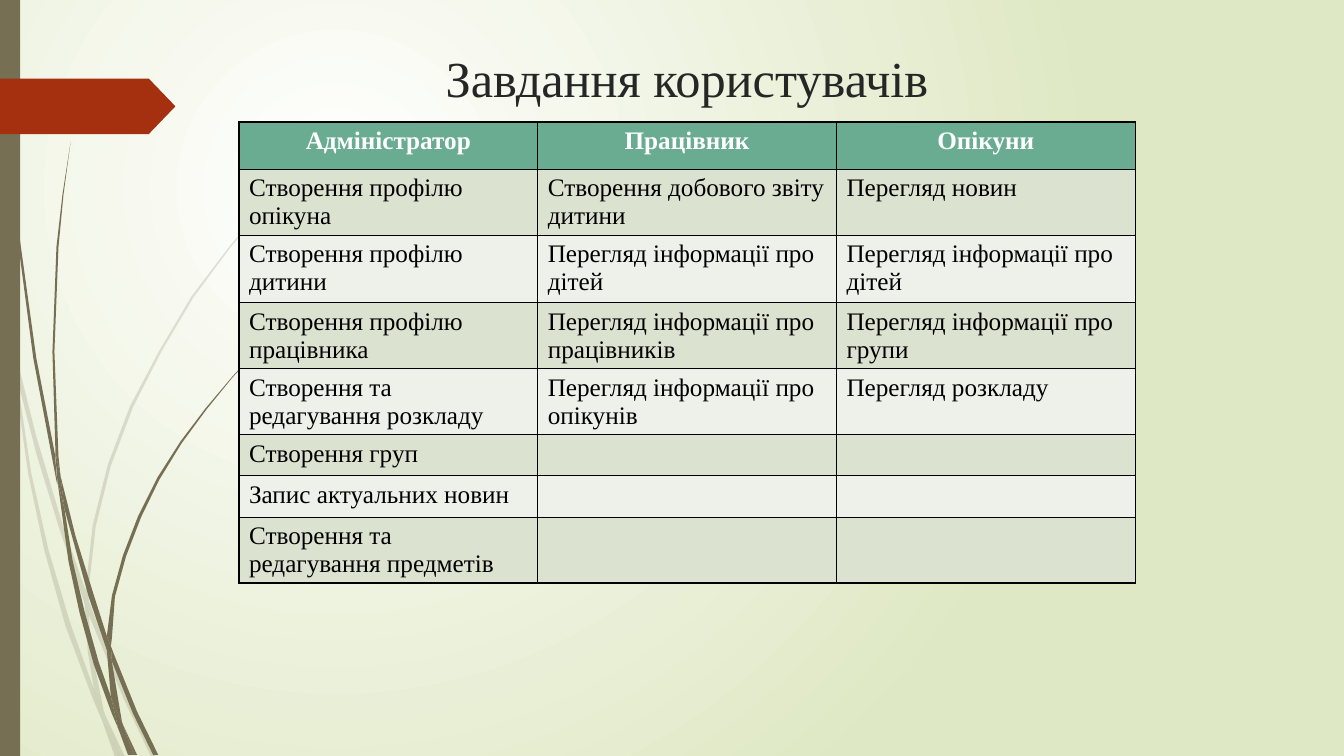
from lxml.etree import SubElement
from pptx import Presentation
from pptx.dml.color import RGBColor
from pptx.enum.shapes import MSO_SHAPE
from pptx.enum.text import MSO_ANCHOR, PP_ALIGN
from pptx.oxml import parse_xml
from pptx.oxml.ns import nsdecls, qn
from pptx.util import Inches, Pt

FONT = "Times New Roman"
WHITE = RGBColor(0xFF, 0xFF, 0xFF)
BLACK = RGBColor(0x00, 0x00, 0x00)
CHARCOAL = RGBColor(0x26, 0x26, 0x26)
PALE_GREEN = RGBColor(0xDF, 0xE8, 0xC4)
OLIVE = RGBColor(0x76, 0x6F, 0x54)
RED = RGBColor(0xA5, 0x30, 0x10)
HEADER_GREEN = RGBColor(0x6A, 0xAC, 0x91)
BANDS = [RGBColor(0xEE, 0xF1, 0xE9), RGBColor(0xDC, 0xE2, 0xD0)]

PALE_BLADES = [
    [(0.11, 3.5), (0.09, 3.22), (0, 2.82), (0, 2.99), (0.1, 3.44)],
    [(0.58, 5.22), (0.84, 5.99), (0.85, 5.86), (0.62, 5.2), (0.36, 4.33),
     (0.14, 3.45), (0.17, 3.76), (0.36, 4.5)],
    [(0.92, 6.07), (0.88, 5.96), (0.88, 6.1), (1.23, 6.94), (1.5, 7.51),
     (1.55, 7.51), (1.27, 6.92)],
    [(1.19, 7.51), (1.24, 7.51), (1.05, 7.11)],
    [(0.93, 6.83), (0.7, 6.19), (0.48, 5.45), (0.31, 4.69), (0.17, 3.76), (0.11, 3.5),
     (0.28, 4.7), (0.44, 5.46), (0.65, 6.21), (0.92, 6.93), (1.01, 7.14), (0.99, 7.07)],
    [(0.84, 5.99), (0.87, 6.46), (0.93, 6.83), (0.96, 6.92), (1.05, 7.11),
     (1.03, 7.06), (0.91, 6.46), (0.88, 6.1), (0.88, 6.08)],
    [(0.88, 5.84), (0.95, 5.22), (1.1, 4.62), (1.32, 4.04), (1.6, 3.49), (1.92, 2.95),
     (2.29, 2.45), (2.68, 1.98), (2.9, 1.75), (3.12, 1.54), (3.12, 1.53), (2.89, 1.75),
     (2.68, 1.97), (2.28, 2.44), (1.9, 2.94), (1.58, 3.48), (1.29, 4.03), (1.07, 4.61),
     (0.92, 5.21), (0.85, 5.84), (0.85, 5.86), (0.88, 5.96)],
    [(1.01, 7.14), (1.14, 7.51), (1.19, 7.51)],
    [(0.88, 6.08), (0.88, 6.1), (0.88, 5.96), (0.85, 5.86), (0.84, 5.99)],
    [(0.96, 6.92), (0.93, 6.83), (0.99, 7.07), (1.01, 7.14), (1.19, 7.51), (1.05, 7.11)],
]
DARK_BLADES = [
    [(0.07, 1.1), (0.17, 2.33), (0.33, 3.55), (0.56, 4.77), (0.57, 4.81), (0.55, 4.57),
     (0.55, 4.53), (0.36, 3.55), (0.19, 2.32), (0.08, 1.09), (0.05, 0.48), (0.04, 0),
     (0.03, 0), (0.04, 0.48)],
    [(0.88, 5.92), (1.06, 6.45), (1.06, 6.33), (1.06, 6.31), (0.93, 5.9), (0.75, 5.32),
     (0.6, 4.72), (0.64, 5.05)],
    [(1.13, 6.49), (1.1, 6.41), (1.11, 6.56), (1.32, 7.08), (1.52, 7.49), (1.57, 7.49),
     (1.36, 7.06)],
    [(1.1, 6.91), (0.98, 6.57), (0.84, 6.07), (0.72, 5.56), (0.64, 5.05), (0.57, 4.77),
     (0.68, 5.57), (0.79, 6.08), (0.93, 6.59), (1.11, 7.08), (1.17, 7.22), (1.16, 7.17)],
    [(0.6, 4.72), (0.58, 4.53), (0.54, 3.49), (0.58, 2.45), (0.63, 1.93), (0.7, 1.41),
     (0.62, 1.93), (0.56, 2.45), (0.52, 3.49), (0.55, 4.49)],
    [(1.33, 7.49), (1.36, 7.49), (1.22, 7.19)],
    [(0.57, 4.77), (0.64, 5.05), (0.6, 4.72), (0.55, 4.49), (0.55, 4.53)],
    [(1.11, 6.33), (1.14, 5.92), (1.25, 5.52), (1.4, 5.13), (1.58, 4.76), (1.8, 4.4),
     (2.05, 4.06), (2.31, 3.74), (2.45, 3.59), (2.61, 3.44), (2.6, 3.44), (2.45, 3.58),
     (2.31, 3.73), (2.04, 4.05), (1.79, 4.38), (1.56, 4.74), (1.37, 5.12), (1.22, 5.51),
     (1.11, 5.91), (1.06, 6.31), (1.1, 6.41)],
    [(1.17, 7.22), (1.27, 7.49), (1.31, 7.49)],
    [(1.06, 6.45), (1.1, 6.91), (1.16, 7.06), (1.22, 7.19), (1.21, 7.16), (1.11, 6.56),
     (1.09, 6.51)],
    [(1.06, 6.45), (1.09, 6.51), (1.11, 6.56), (1.1, 6.41), (1.06, 6.31), (1.06, 6.33)],
    [(1.16, 7.06), (1.1, 6.91), (1.16, 7.17), (1.17, 7.22), (1.3, 7.49), (1.33, 7.49),
     (1.22, 7.19)],
]

HEADERS = ["Адміністратор", "Працівник", "Опікуни"]
TASKS = [
    ["Створення профілю опікуна", "Створення добового звіту дитини", "Перегляд новин"],
    ["Створення профілю дитини", "Перегляд інформації про дітей", "Перегляд інформації про дітей"],
    ["Створення профілю працівника", "Перегляд інформації про працівників",
     "Перегляд інформації про групи"],
    ["Створення та редагування розкладу", "Перегляд інформації про опікунів", "Перегляд розкладу"],
    ["Створення груп", "", ""],
    ["Запис актуальних новин", "", ""],
    ["Створення та редагування предметів", "", ""],
]
ROW_HEIGHTS = [0.47, 0.65, 0.67, 0.65, 0.65, 0.41, 0.41, 0.65]


def paint_background(slide):
    """Fill the slide with a radial gradient centred in its upper left."""
    slide.background.fill.gradient()
    gradient = slide.element.find(".//" + qn("a:gradFill"))
    radial = parse_xml(
        f'<a:gradFill {nsdecls("a")} rotWithShape="1"><a:gsLst>'
        f'<a:gs pos="0"><a:srgbClr val="{WHITE}"/></a:gs>'
        f'<a:gs pos="100000"><a:srgbClr val="{PALE_GREEN}"/></a:gs></a:gsLst>'
        '<a:path path="circle"><a:fillToRect l="50000" t="50000" r="100000" b="100000"/>'
        '</a:path></a:gradFill>')
    gradient.getparent().replace(gradient, radial)


def paint_shape(shape, color):
    """Give a shape a flat fill with no line or shadow."""
    shape.fill.solid()
    shape.fill.fore_color.rgb = color
    shape.line.fill.background()
    shape.shadow.inherit = False


def add_blade(slide, left, top, points, opacity=100):
    """Draw one piece of a grass stalk from its outline."""
    outline = [(left + Inches(x), top + Inches(y)) for x, y in points]
    builder = slide.shapes.build_freeform(*outline[0], scale=1.0)
    builder.add_line_segments(outline[1:], close=True)
    blade = builder.convert_to_shape()
    paint_shape(blade, OLIVE)
    if opacity < 100:
        color = blade.element.spPr.find(qn("a:solidFill") + "/" + qn("a:srgbClr"))
        SubElement(color, qn("a:alpha"), val=str(opacity * 1000))


def add_side_decoration(slide, left, top, height):
    """Draw the grass, the side bar and the red pointer."""
    for points in PALE_BLADES:
        add_blade(slide, left, top, points, opacity=20)
    for points in DARK_BLADES:
        add_blade(slide, left, top, points)
    bar = slide.shapes.add_shape(MSO_SHAPE.RECTANGLE, left, top, Inches(0.2), height)
    paint_shape(bar, OLIVE)
    pointer = slide.shapes.add_shape(
        MSO_SHAPE.PENTAGON, left, top + Inches(0.78), Inches(1.74), Inches(0.55))
    pointer.adjustments[0] = 0.48
    paint_shape(pointer, RED)


def add_text(paragraph, text, size, color, bold=False):
    """Add one formatted run to a paragraph."""
    run = paragraph.add_run()
    run.text = text
    run.font.name = FONT
    run.font.size = Pt(size)
    run.font.bold = bold
    run.font.color.rgb = color


def fill_title(slide, left, top, width, height):
    """Place and fill the title placeholder."""
    title = slide.shapes.title
    title.left, title.top, title.width, title.height = left, top, width, height
    title.text_frame.word_wrap = True
    title.text_frame.vertical_anchor = MSO_ANCHOR.TOP
    paragraph = title.text_frame.paragraphs[0]
    paragraph.alignment = PP_ALIGN.CENTER
    add_text(paragraph, "Завдання користувачів", 36, CHARCOAL)


def add_borders(cell):
    """Draw a thin black line on every side of a cell."""
    properties = cell._tc.get_or_add_tcPr()
    for position, side in enumerate(["lnL", "lnR", "lnT", "lnB"]):
        properties.insert(position, parse_xml(
            f'<a:{side} {nsdecls("a")} w="{Pt(1)}"><a:solidFill>'
            f'<a:srgbClr val="{BLACK}"/></a:solidFill></a:{side}>'))


def add_task_table(slide, left, top, width):
    """Add the table of tasks with a header and banded rows."""
    rows = [HEADERS, *TASKS]
    frame = slide.shapes.add_table(
        len(rows), len(HEADERS), left, top, width, Inches(sum(ROW_HEIGHTS)))
    table = frame.table
    for row_index, texts in enumerate(rows):
        is_header = row_index == 0
        table.rows[row_index].height = Inches(ROW_HEIGHTS[row_index])
        for column_index, text in enumerate(texts):
            cell = table.cell(row_index, column_index)
            cell.fill.solid()
            cell.fill.fore_color.rgb = HEADER_GREEN if is_header else BANDS[row_index % 2]
            add_borders(cell)
            paragraph = cell.text_frame.paragraphs[0]
            paragraph.alignment = PP_ALIGN.CENTER if is_header else PP_ALIGN.LEFT
            if text:
                add_text(paragraph, text, 18, WHITE if is_header else BLACK, is_header)


def main():
    """Build and save the presentation."""
    presentation = Presentation()
    presentation.slide_width = Inches(13.33)
    presentation.slide_height = Inches(7.5)
    slide = presentation.slides.add_slide(presentation.slide_layouts[5])
    paint_background(slide)
    add_side_decoration(slide, 0, 0, presentation.slide_height)
    fill_title(slide, Inches(1.94), Inches(0.42), Inches(9.75), Inches(1.4))
    add_task_table(slide, Inches(2.37), Inches(1.21), Inches(8.89))
    presentation.save("out.pptx")


if __name__ == "__main__":
    main()
